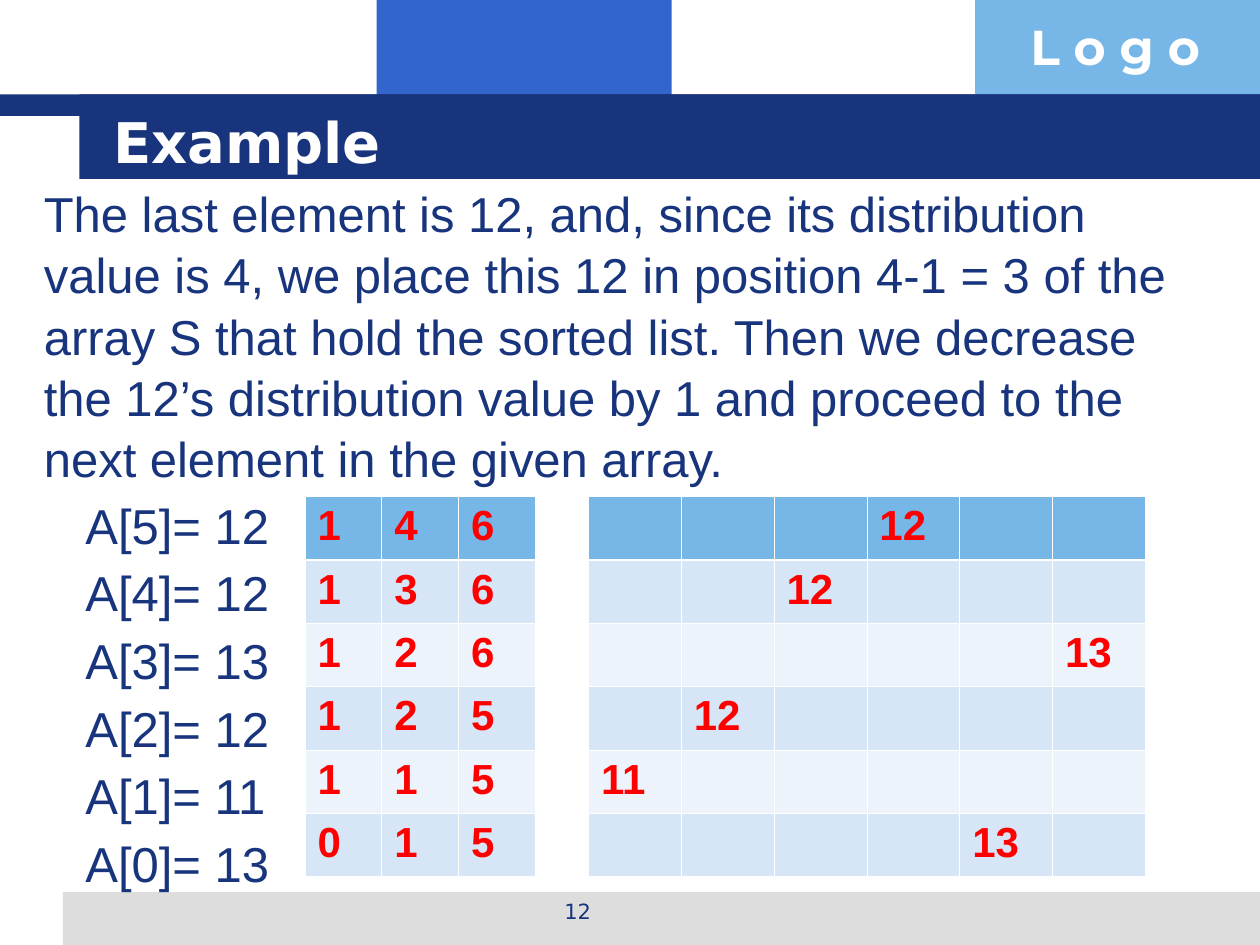
from lxml import etree
from pptx import Presentation
from pptx.dml.color import RGBColor
from pptx.enum.shapes import MSO_SHAPE
from pptx.enum.text import PP_ALIGN
from pptx.oxml.ns import qn
from pptx.util import Inches, Pt

RECT = MSO_SHAPE.RECTANGLE
LEFT, MID = PP_ALIGN.LEFT, PP_ALIGN.CENTER

HUES = {"navy": "17347D", "blue": "3366CC", "sky": "77B7E7", "grey": "DDDDDD",
        "white": "FFFFFF", "red": "FF0000", "band": "D6E6F6", "pale": "ECF3FA"}

BARS = [
    (2.99, 0, 2.34, 0.92, "blue"),
    (7.74, 0, 2.26, 0.92, "sky"),
    (0.5, 7.08, 9.5, 0.42, "grey"),
    (0, 0.75, 10, 0.17, "navy"),
    (0.63, 0.75, 9.37, 0.67, "navy"),
]

BODY = ("The last element is 12, and, since its distribution value is 4, we place "
        "this 12 in position 4-1 = 3 of the array S that hold the sorted list. Then "
        "we decrease the 12’s distribution value by 1 and proceed to the next "
        "element in the given array.")
ITEMS = ["A[5]= 12", "A[4]= 12", "A[3]= 13", "A[2]= 12", "A[1]= 11", "A[0]= 13"]

# box, lines, font, size, colour, bold, alignment, line spacing
TEXTS = [
    ((8.08, 0.08, 1.93, 0.57), ["L o g o"], "Montserrat", 28, "white", True, LEFT, 1.0),
    ((3.42, 7.08, 2.33, 0.35), ["12"], "DejaVu Sans", 12, "navy", False, MID, 1.0),
    ((0.25, 1.39, 9.33, 2.45), [BODY], "Arial", 28, "navy", False, LEFT, 1.04),
    ((0.8, 0.8, 8.53, 0.62), ["Example"], "DejaVu Sans", 32, "white", True, LEFT, 1.0),
    ((0.58, 3.92, 1.83, 3.08), ITEMS, "Arial", 28, "navy", False, LEFT, 0.94),
]

COUNTS = [[1, 4, 6], [1, 3, 6], [1, 2, 6], [1, 2, 5], [1, 1, 5], [0, 1, 5]]
PLACED = [(3, 12), (2, 12), (5, 13), (1, 12), (0, 11), (4, 13)]  # column, value
SORTED = [[val if col == spot else "" for col in range(6)] for spot, val in PLACED]
GRIDS = [(2.42, 1.83, COUNTS), (4.67, 4.42, SORTED)]
TOP, TALL = 3.94, 3.02


def hue(name):
    return RGBColor.from_string(HUES[name])


def style(para, face, size, tint, bold):
    for run in para.runs:
        font = run.font
        font.name, font.size, font.bold = face, Pt(size), bold
        font.color.rgb = hue(tint)


def add_bar(slide, x, y, w, h, tint):
    bar = slide.shapes.add_shape(RECT, Inches(x), Inches(y), Inches(w), Inches(h))
    bar.shadow.inherit = False
    bar.fill.solid()
    bar.fill.fore_color.rgb = hue(tint)
    bar.line.fill.background()


def add_text(slide, box, lines, face, size, tint, bold, align, pitch):
    frame = slide.shapes.add_textbox(*map(Inches, box)).text_frame
    frame.word_wrap = True
    frame.text = "\n".join(lines)
    for i, para in enumerate(frame.paragraphs):
        para.alignment = align
        para.line_spacing = pitch
        if i:
            para.space_before = Pt(7)
        style(para, face, size, tint, bold)


def add_edge(cell, side, width):
    edge = etree.SubElement(cell._tc.get_or_add_tcPr(), qn("a:" + side),
                            w=str(Pt(width)))
    fill = etree.SubElement(edge, qn("a:solidFill"))
    etree.SubElement(fill, qn("a:srgbClr"), val=HUES["white"])


def add_grid(slide, x, wide, rows):
    count = len(rows[0])
    table = slide.shapes.add_table(len(rows), count, Inches(x), Inches(TOP),
                                   Inches(wide), Inches(TALL)).table
    for col in table.columns:
        col.width = Inches(wide / count)
    for r, vals in enumerate(rows):
        table.rows[r].height = Inches(TALL / len(rows))
        tint = "sky" if r == 0 else "band" if r % 2 else "pale"
        for c, val in enumerate(vals):
            cell = table.cell(r, c)
            cell.text = str(val)
            style(cell.text_frame.paragraphs[0], "Arial", 24, "red", True)
            for side in ("lnL", "lnR", "lnT", "lnB"):
                thick = (r, side) in ((0, "lnB"), (1, "lnT"))
                add_edge(cell, side, 1.47 if thick else 0.45)
            cell.fill.solid()
            cell.fill.fore_color.rgb = hue(tint)


def main():
    deck = Presentation()
    deck.slide_width, deck.slide_height = Inches(10), Inches(7.5)
    slide = deck.slides.add_slide(deck.slide_layouts[6])
    for bar in BARS:
        add_bar(slide, *bar)
    for text in TEXTS:
        add_text(slide, *text)
    for grid in GRIDS:
        add_grid(slide, *grid)
    deck.save("out.pptx")


if __name__ == "__main__":
    main()
